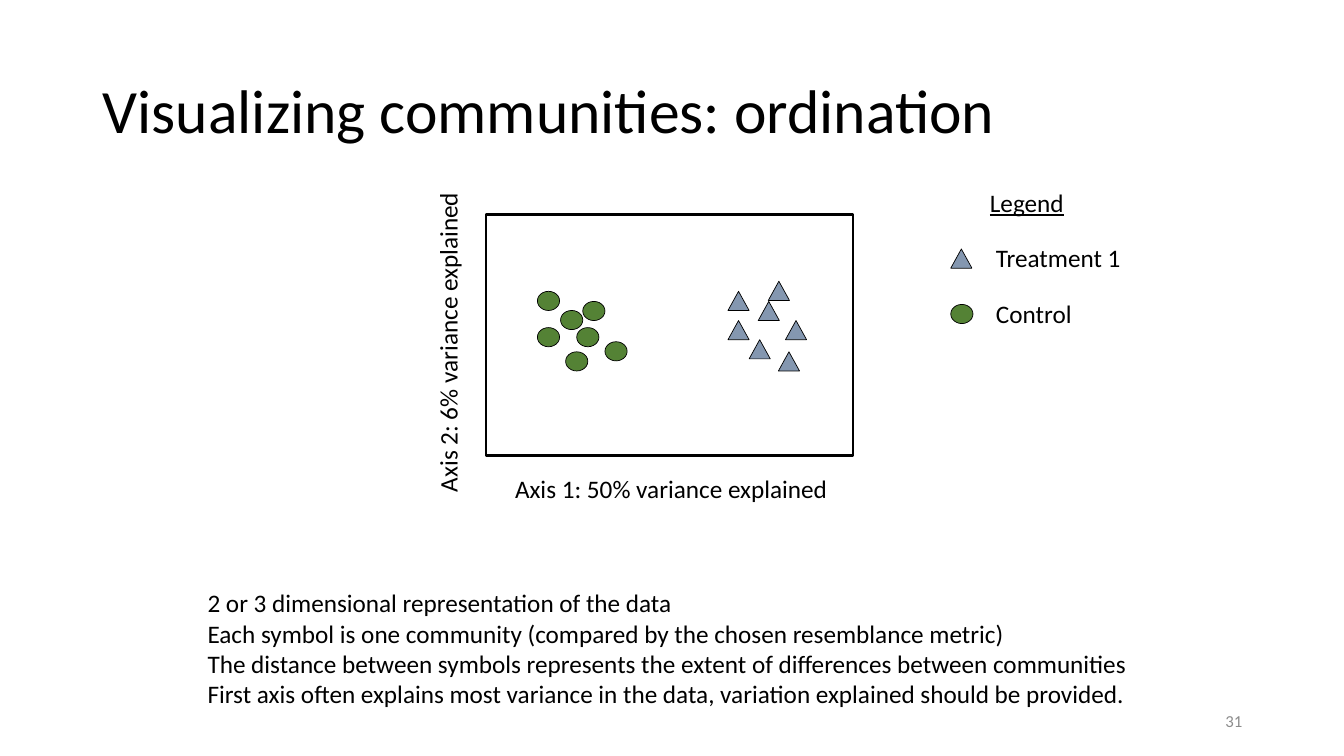
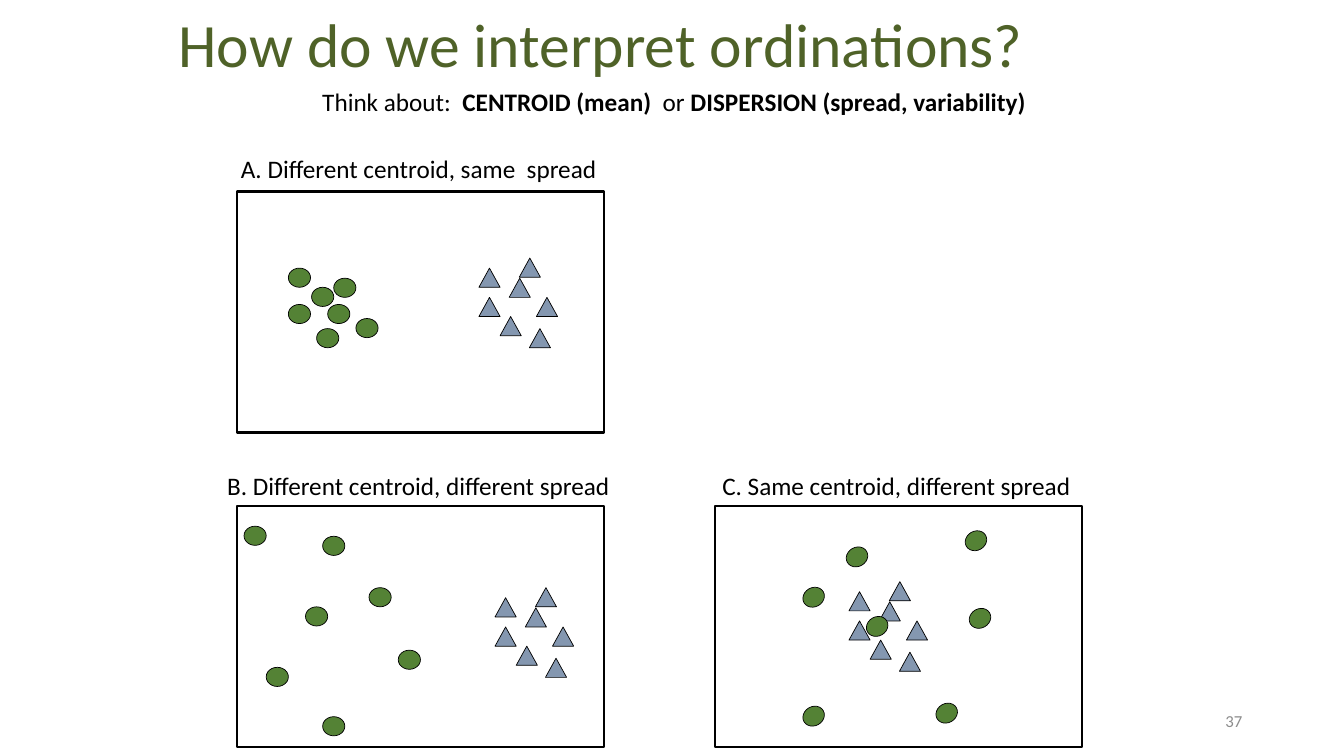
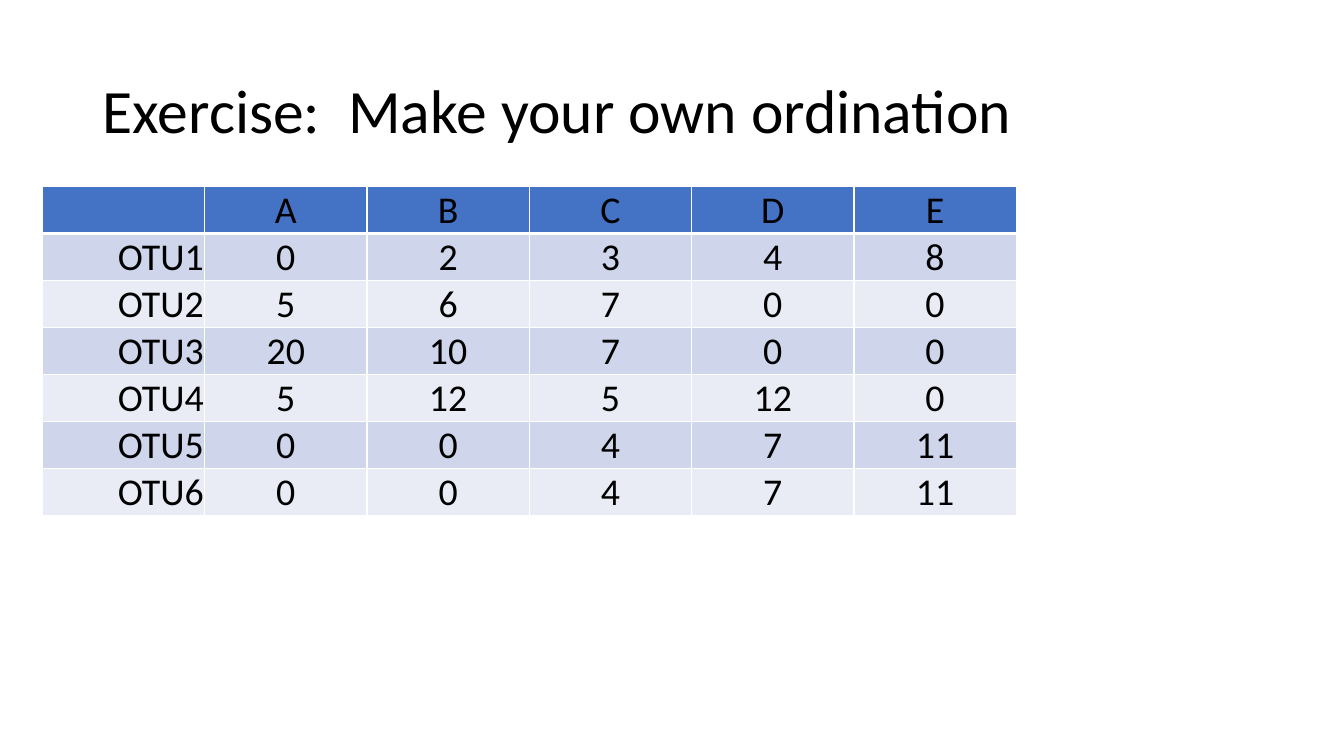
"""Build three slides on reading ordination plots."""
from dataclasses import dataclass

from lxml import etree
from pptx import Presentation
from pptx.dml.color import RGBColor
from pptx.enum.shapes import MSO_SHAPE
from pptx.enum.text import MSO_ANCHOR, MSO_AUTO_SIZE, PP_ALIGN
from pptx.oxml.ns import qn
from pptx.util import Inches, Pt

RECT, OVAL, TRI = MSO_SHAPE.RECTANGLE, MSO_SHAPE.OVAL, MSO_SHAPE.ISOSCELES_TRIANGLE
LEFT, MID, RIGHT = PP_ALIGN.LEFT, PP_ALIGN.CENTER, PP_ALIGN.RIGHT
MIDDLE, BOTTOM = MSO_ANCHOR.MIDDLE, MSO_ANCHOR.BOTTOM
FIT, FIXED = MSO_AUTO_SIZE.SHAPE_TO_FIT_TEXT, MSO_AUTO_SIZE.NONE


@dataclass(frozen=True)
class Theme:
    """Colours, font and type sizes of the deck."""
    font: str = "Calibri"
    ink: str = "000000"
    paper: str = "FFFFFF"
    olive: str = "4F6228"
    gray: str = "8C8C8C"
    green: str = "548235"
    steel: str = "8497B0"
    head: str = "4472C4"
    bands: tuple = ("CFD5EA", "E9EBF5")
    title: int = 44
    body: int = 18
    cell: int = 27
    note: int = 12
    frame: float = 1.75
    edge: float = 0.5


THEME = Theme()
SIZE = (13.33, 7.5)
WIDE = (0.92, 0.4, 11.5, 1.45)
HIGH = (1.67, -0.15, 10, 1.25)
PAGE = (9.42, 6.95, 3, 0.4)
FRAME = (3.64, 2.39)
LINE = 0.4
MARKS = {"dot": (OVAL, 0.22, 0.19, THEME.green),
         "tri": (TRI, 0.21, 0.19, THEME.steel)}

TIGHT = [(0.74, 0.95), (0.9, 1.12), (0.96, 0.86), (0.79, 1.36),
         (1.18, 1.26), (0.51, 0.76), (0.51, 1.12)]
LOOSE = [(0.68, 1), (1.31, 0.81), (0.85, 0.3), (0.85, 2.09),
         (1.6, 1.43), (0.07, 0.2), (0.29, 1.6)]
AROUND = [(1.5, 1.1), (2.48, 0.25), (1.3, 0.41), (2.19, 1.96),
          (2.52, 1.02), (0.87, 0.81), (0.87, 1.99)]
CLUMP = [(2.8, 0.66), (2.4, 0.76), (2.7, 0.86), (2.4, 1.05),
         (2.97, 1.05), (2.61, 1.24), (2.9, 1.36)]


def shift(spots, right, down):
    """Move a set of points."""
    return [(x + right, y + down) for x, y in spots]


FIRST = {"at": (4.82, 2.13), "sets": [("dot", TIGHT, 0), ("tri", CLUMP, 0)]}
PLOTS = [
    {"at": (2.35, 1.9), "sets": FIRST["sets"],
     "label": ("A. Different centroid, same  spread", 3.76, 0.43)},
    {"at": (2.35, 5.02),
     "sets": [("dot", LOOSE, 0), ("tri", shift(CLUMP, 0.16, 0.15), 0)],
     "label": ("B. Different centroid, different spread", 4.03, 0.4)},
    {"at": (7.09, 5.02),
     "sets": [("tri", shift(CLUMP, -1.07, 0.09), 0), ("dot", AROUND, 330.4)],
     "label": ("C. Same centroid, different spread", 3.69, 0.4)},
]
AXES = [("Axis 1: 50% variance explained", (5.01, 4.65, 3.33, LINE), 0),
        ("Axis 2: 6% variance explained", (2.84, 3.18, 3.2, LINE), 270)]
KEYS = [("tri", "Treatment 1", 1.45), ("dot", "Control", 0.96)]
KEY_AT, KEY_STEP = (9.43, 2.36), 0.55
FACTS = [
    "2 or 3 dimensional representation of the data",
    "Each symbol is one community (compared by the chosen resemblance metric)",
    "The distance between symbols represents the extent of differences between communities",
    "First axis often explains most variance in the data, variation explained should be provided.",
]
THINK = [("Think about:  ", {}), ("CENTROID (mean)  ", {"bold": True}),
         ("or ", {}), ("DISPERSION (spread, variability)", {"bold": True})]
COUNTS = [
    ("", "A", "B", "C", "D", "E"),
    ("OTU1", 0, 2, 3, 4, 8),
    ("OTU2", 5, 6, 7, 0, 0),
    ("OTU3", 20, 10, 7, 0, 0),
    ("OTU4", 5, 12, 5, 12, 0),
    ("OTU5", 0, 0, 4, 7, 11),
    ("OTU6", 0, 0, 4, 7, 11),
]
GRID_AT, COL, ROW = (0.42, 1.85), 1.61, 0.45


def put(thing, **values):
    """Set each named attribute."""
    for name, value in values.items():
        setattr(thing, name, value)


def inch(box):
    """Turn numbers into lengths."""
    return [Inches(n) for n in box]


def write(part, runs, size=THEME.body, ink=THEME.ink, **form):
    """Fill a paragraph with runs."""
    put(part, **form)
    for words, style in [(runs, {})] if isinstance(runs, str) else runs:
        run = part.add_run()
        run.text = words
        put(run.font, name=THEME.font, size=Pt(size), **{"bold": False, **style})
        run.font.color.rgb = RGBColor.from_string(ink)


def text(shapes, box, lines, size=THEME.body, ink=THEME.ink, align=LEFT,
         wrap=False, turn=0):
    """Add a text box with one paragraph per line."""
    label = shapes.add_textbox(*inch(box))
    label.rotation = turn
    frame = label.text_frame
    put(frame, word_wrap=wrap, auto_size=FIT)
    for i, line in enumerate(lines):
        part = frame.add_paragraph() if i else frame.paragraphs[0]
        write(part, line, size, ink, alignment=align)


def shape(shapes, kind, box, fill, width, turn=0):
    """Add an outlined shape."""
    form = shapes.add_shape(kind, *inch(box))
    form.rotation = turn
    form.shadow.inherit = False
    form.fill.solid()
    form.fill.fore_color.rgb = RGBColor.from_string(fill)
    form.line.color.rgb = RGBColor.from_string(THEME.ink)
    form.line.width = Pt(width)


def mark(shapes, name, x, y, turn=0):
    """Add one plot symbol."""
    kind, wide, high, fill = MARKS[name]
    shape(shapes, kind, (x, y, wide, high), fill, THEME.edge, turn)


def plot(slide, at, sets, label=None):
    """Add a framed plot, with a centred label if given."""
    shapes = slide.shapes.add_group_shape().shapes
    left, top = at
    shape(shapes, RECT, (*at, *FRAME), THEME.paper, THEME.frame)
    for name, spots, turn in sets:
        for x, y in spots:
            mark(shapes, name, left + x, top + y, turn)
    if label:
        words, wide, rise = label
        box = (left + (FRAME[0] - wide) / 2, top - rise, wide, LINE)
        text(shapes, box, [words])


def legend(slide):
    """Add the key to the symbols."""
    shapes = slide.shapes.add_group_shape().shapes
    left, top = KEY_AT
    for i, (name, words, wide) in enumerate(KEYS):
        y = top + i * KEY_STEP
        mark(shapes, name, left, y + 0.11)
        text(shapes, (left + 0.35, y, wide, LINE), [words])
    text(shapes, (left + 0.29, top - KEY_STEP, 0.94, LINE),
         [[("Legend", {"underline": True})]])


def border(cell, last):
    """Draw white lines round a cell."""
    props = cell._tc.get_or_add_tcPr()
    for side, width in zip("LRTB", (1, 1, 1, last)):
        line = etree.SubElement(props, qn("a:ln" + side), w=str(Pt(width)))
        fill = etree.SubElement(line, qn("a:solidFill"))
        etree.SubElement(fill, qn("a:srgbClr"), val=THEME.paper)


def grid(slide):
    """Add the table of counts."""
    rows, cols = len(COUNTS), len(COUNTS[0])
    box = (*GRID_AT, cols * COL, rows * ROW)
    table = slide.shapes.add_table(rows, cols, *inch(box)).table
    for row in table.rows:
        row.height = Inches(ROW)
    for r, values in enumerate(COUNTS):
        for c, value in enumerate(values):
            cell = table.cell(r, c)
            thin = Inches(0.01)
            put(cell, vertical_anchor=BOTTOM, margin_left=thin,
                margin_right=thin, margin_top=thin, margin_bottom=0)
            border(cell, 1 if r else 3)
            cell.fill.solid()
            fill = THEME.bands[(r - 1) % 2] if r else THEME.head
            cell.fill.fore_color.rgb = RGBColor.from_string(fill)
            if value != "":
                write(cell.text_frame.paragraphs[0], str(value), THEME.cell,
                      alignment=MID if c else RIGHT)


def start(deck, words, box=WIDE, ink=THEME.ink):
    """Add a slide with its title."""
    slide = deck.slides.add_slide(deck.slide_layouts[5])
    title = slide.shapes.title
    put(title, **dict(zip(("left", "top", "width", "height"), inch(box))))
    put(title.text_frame, vertical_anchor=MIDDLE, auto_size=FIXED, word_wrap=True)
    write(title.text_frame.paragraphs[0], words, THEME.title, ink,
          alignment=LEFT, line_spacing=0.9)
    return slide


def number(slide, page):
    """Add the page number."""
    left, top, wide, high = PAGE
    text(slide.shapes, (left, top + 0.05, wide, high - 0.1), [page],
         THEME.note, THEME.gray, RIGHT, True)


def main():
    """Make and save the deck."""
    deck = Presentation()
    put(deck, slide_width=Inches(SIZE[0]), slide_height=Inches(SIZE[1]))

    slide = start(deck, "Visualizing communities: ordination")
    plot(slide, **FIRST)
    for words, box, turn in AXES:
        text(slide.shapes, box, [words], turn=turn)
    legend(slide)
    text(slide.shapes, (1.96, 5.78, 9.41, 1.31), FACTS)
    number(slide, "31")

    slide = start(deck, "How do we interpret ordinations?", HIGH, THEME.olive)
    text(slide.shapes, (2.34, 0.81, 8.69, LINE), [THINK], align=MID, wrap=True)
    for item in PLOTS:
        plot(slide, **item)
    number(slide, "37")

    grid(start(deck, "Exercise:  Make your own ordination"))
    deck.save("out.pptx")


if __name__ == "__main__":
    main()
